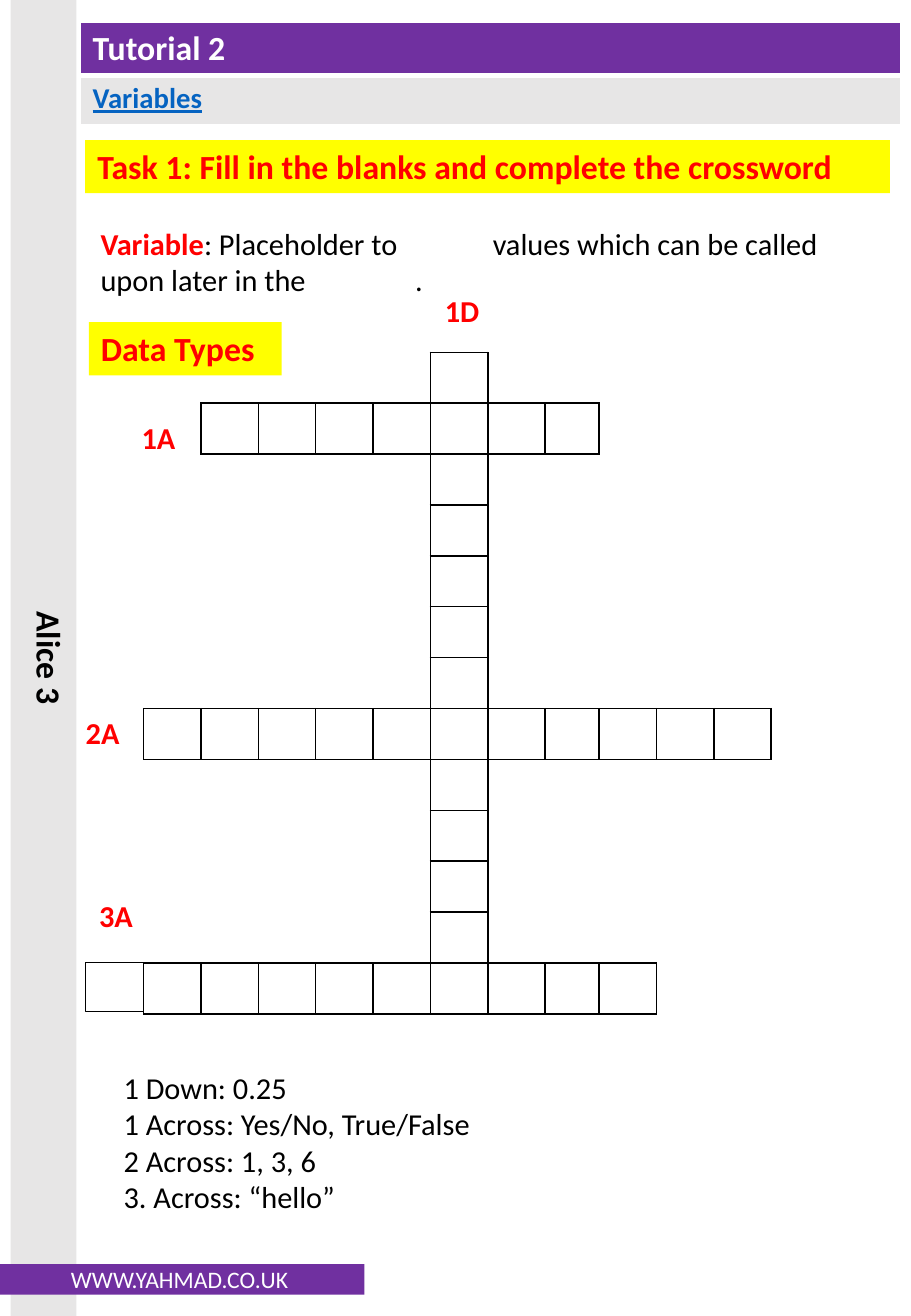
from pptx import Presentation
from pptx.dml.color import RGBColor
from pptx.enum.shapes import MSO_SHAPE
from pptx.enum.text import MSO_ANCHOR, PP_ALIGN
from pptx.oxml.ns import qn
from pptx.util import Pt
from lxml.etree import SubElement


class Theme:
    font = "Calibri"
    purple = RGBColor.from_string("7030A0")
    grey = RGBColor.from_string("E7E6E6")
    yellow = RGBColor.from_string("FFFF00")
    red = RGBColor.from_string("FF0000")
    blue = RGBColor.from_string("0563C1")
    black = RGBColor.from_string("000000")
    white = RGBColor.from_string("FFFFFF")
    head, sub, body, foot = 20, 17, 18, 14


def write(frame, text, size, hue, bold, align=PP_ALIGN.LEFT, anchor=MSO_ANCHOR.TOP):
    frame.text = text
    frame.word_wrap = True
    frame.vertical_anchor = anchor
    for para in frame.paragraphs:
        para.alignment = align
        font = para.font
        font.name, font.size, font.bold = Theme.font, Pt(size), bold
        font.color.rgb = hue


def edge(cell, side, hue, width):
    """Draw one cell border; a hue of None leaves that side open."""
    line = SubElement(cell._tc.get_or_add_tcPr(), qn(f"a:ln{side}"), w=str(Pt(width)))
    if hue is None:
        SubElement(line, qn("a:noFill"))
    else:
        SubElement(SubElement(line, qn("a:solidFill")), qn("a:srgbClr"), val=str(hue))


deck = Presentation()
deck.slide_width, deck.slide_height = Pt(540), Pt(780)
slide = deck.slides.add_slide(deck.slide_layouts[5])
shapes = slide.shapes

# Task title
title = shapes.title
title.left, title.top, title.width, title.height = Pt(50.5), Pt(83), Pt(477), Pt(31.5)
title.fill.solid()
title.fill.fore_color.rgb = Theme.yellow
write(title.text_frame, "Task 1: Fill in the blanks and complete the crossword",
      Theme.head, Theme.red, True)

# Header band
band = shapes.add_table(2, 1, Pt(47.7), Pt(13), Pt(486), Pt(61)).table
band.first_row = band.horz_banding = False
heads = [
    ("Tutorial 2", 31.5, Theme.head, Theme.white, Theme.purple),
    ("Variables", 29.5, Theme.sub, Theme.blue, Theme.grey),
]
for row, (text, height, size, hue, fill) in enumerate(heads):
    band.rows[row].height = Pt(height)
    cell = band.cell(row, 0)
    for side in "LRTB":
        joint = side == ("B" if row == 0 else "T")
        edge(cell, side, Theme.white, 3 if joint else 1)
    cell.fill.solid()
    cell.fill.fore_color.rgb = fill
    write(cell.text_frame, text, size, hue, True)
band.cell(1, 0).text_frame.paragraphs[0].font.underline = True

# Crossword: one grid, split over two tables
rows, high, top = 13, 30.18, 208.8
wide = [34] * 7 + [32] + [34] * 5
across = {1: range(1, 8), 7: range(11), 12: range(9)}
used = {(row, 5) for row in range(rows)}
used |= {(row, col) for row, cols in across.items() for col in cols}
sides = {"L": (0, -1), "R": (0, 1), "T": (-1, 0), "B": (1, 0)}
for first, last in [(0, 6), (6, 13)]:
    left = 85.2 + sum(wide[:first])
    grid = shapes.add_table(rows, last - first, Pt(left), Pt(top),
                            Pt(sum(wide[first:last])), Pt(rows * high)).table
    grid.first_row = grid.horz_banding = False
    for row in range(rows):
        grid.rows[row].height = Pt(high)
        for col in range(first, last):
            grid.columns[col - first].width = Pt(wide[col])
            cell = grid.cell(row, col - first)
            for side, (down, right) in sides.items():
                inked = {(row, col), (row + down, col + right)} & used
                edge(cell, side, Theme.black if inked else None, 1)
            cell.fill.solid()
            cell.fill.fore_color.rgb = Theme.white

# Filled bars
mid = PP_ALIGN.CENTER
bars = [
    ("Alice 3", (6.3, 0, 39, 780), Theme.grey, Theme.head, Theme.black, True, mid, MSO_ANCHOR.TOP),
    ("WWW.YAHMAD.CO.UK", (-3, 749.3, 219, 18), Theme.purple, Theme.foot, Theme.white, False,
     mid, MSO_ANCHOR.MIDDLE),
    ("Data Types", (52.7, 191, 114.3, 31.5), Theme.yellow, Theme.head, Theme.red, True,
     PP_ALIGN.LEFT, MSO_ANCHOR.TOP),
]
for text, spot, fill, *look in bars:
    bar = shapes.add_shape(MSO_SHAPE.RECTANGLE, *map(Pt, spot))
    bar.shadow.inherit = False
    bar.fill.solid()
    bar.fill.fore_color.rgb = fill
    bar.line.fill.background()
    write(bar.text_frame, text, *look)
    if text == "Alice 3":
        bar.element.txBody.bodyPr.set("vert", "vert")

# Definition with two blanks to fill
note = shapes.add_textbox(Pt(52.5), Pt(129.6), Pt(475), Pt(51)).text_frame
write(note, "Variable", Theme.body, Theme.black, False)
para = note.paragraphs[0]
term = para.runs[0].font
term.bold, term.color.rgb = True, Theme.red
para.add_run().text = ": Placeholder to\t\tvalues which can be called upon later in the\t."
props = para._p.get_or_add_pPr()
stops = SubElement(props, qn("a:tabLst"))
props.insert(0, stops)
for stop in (186.5, 232.5):
    SubElement(stops, qn("a:tab"), pos=str(Pt(stop)), algn="l")

# Clues and word labels
clues = shapes.add_textbox(Pt(66.2), Pt(630), Pt(363), Pt(94.5)).text_frame
write(clues, "1 Down: 0.25\n1 Across: Yes/No, True/False\n2 Across: 1, 3, 6\n3. Across: “hello”",
      Theme.body, Theme.black, False)
for text, left, head in [("1D", 247.7, 169.5), ("1A", 67.7, 244.8),
                         ("2A", 34.6, 420), ("3A", 42.5, 528)]:
    label = shapes.add_textbox(Pt(left), Pt(head), Pt(52.5), Pt(29))
    write(label.text_frame, text, Theme.body, Theme.red, True, mid)

# First square of the last word, left of the grid
square = shapes.add_shape(MSO_SHAPE.RECTANGLE, Pt(50.5), Pt(570.5), Pt(34.7), Pt(29))
square.shadow.inherit = False
square.fill.background()
square.line.color.rgb = Theme.black
square.line.width = Pt(0.75)

deck.save("out.pptx")
